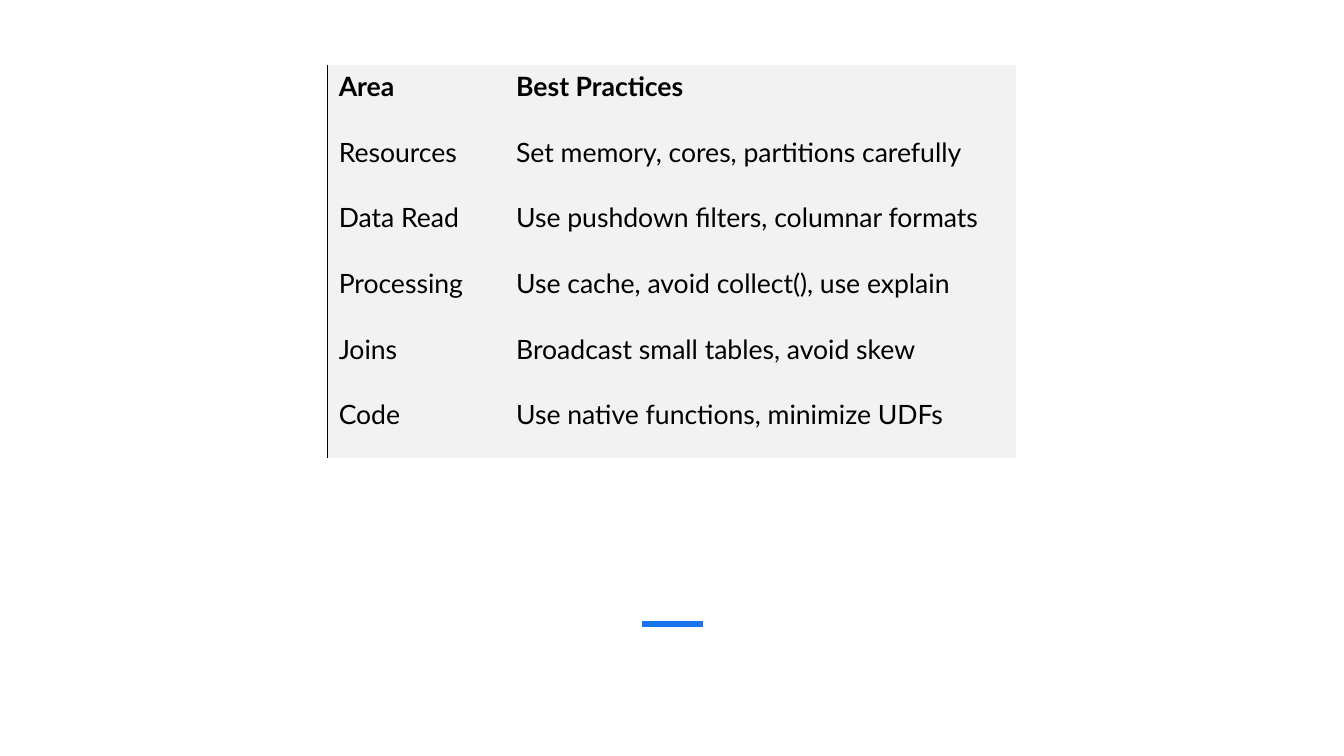
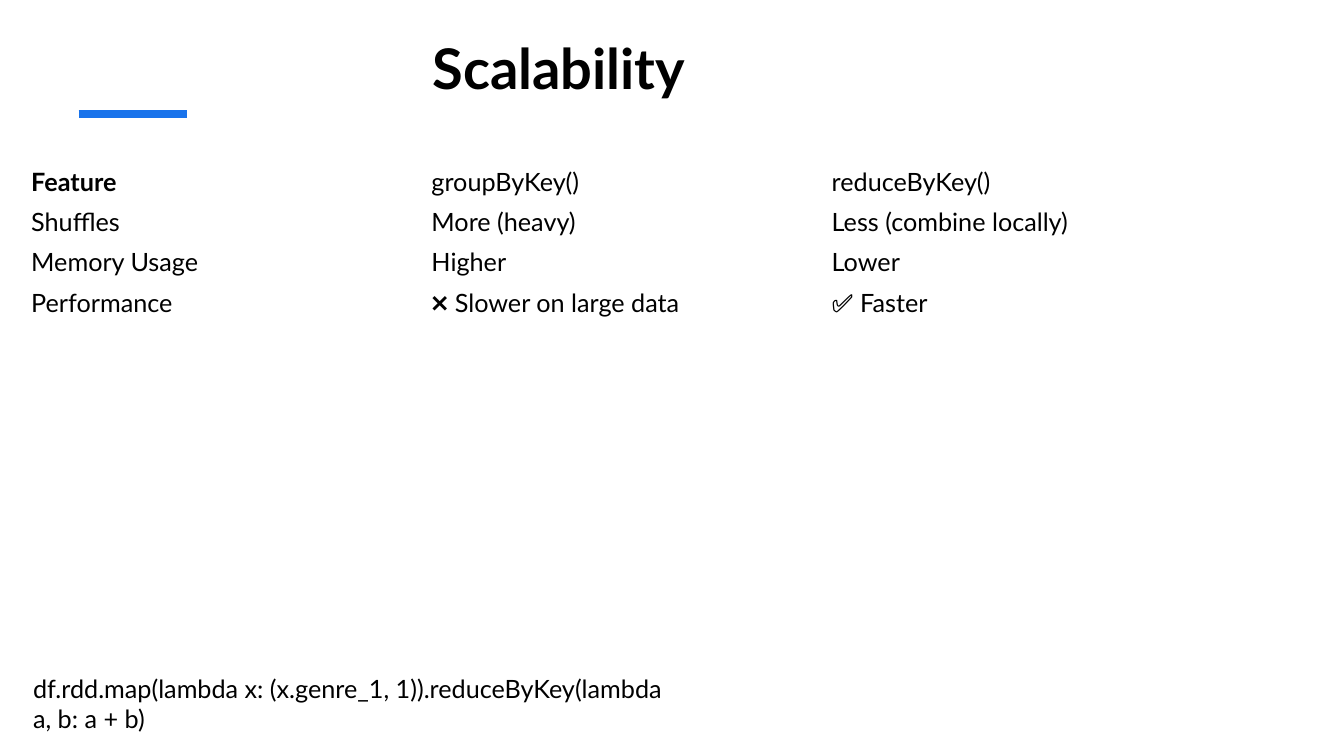
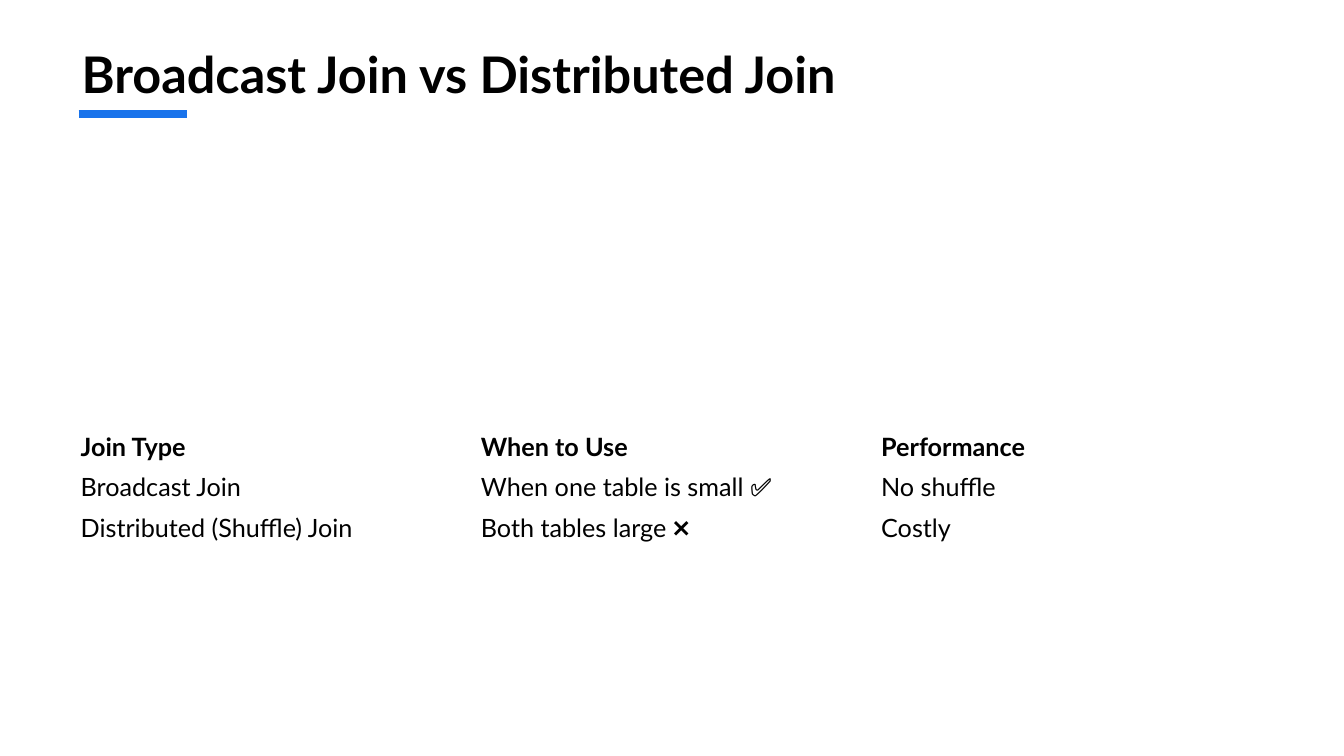
from dataclasses import dataclass

from lxml import etree
from pptx import Presentation
from pptx.dml.color import RGBColor
from pptx.enum.shapes import MSO_CONNECTOR as Connector
from pptx.enum.text import MSO_ANCHOR as Anchor, PP_ALIGN as Align
from pptx.oxml import parse_xml
from pptx.oxml.ns import nsdecls, qn
from pptx.util import Inches, Pt


@dataclass(frozen=True)
class Theme:
    font: str = "Lato"
    text: str = "000000"
    accent: str = "1973EB"
    panel: str = "F2F2F2"
    body_size: int = 18
    panel_size: int = 19
    no_grid_style: str = "{2D5ABB26-0587-4C30-8999-92F81FD0307C}"


THEME = Theme()
TITLE_ONLY, BLANK = 5, 6


def write_text(text_frame, text, size=THEME.body_size, bold=False,
               color=THEME.text, anchor=Anchor.TOP):
    text_frame.word_wrap = True
    text_frame.vertical_anchor = anchor
    paragraph = text_frame.paragraphs[0]
    paragraph.alignment = Align.LEFT
    run = paragraph.add_run()
    run.text = text
    font = run.font
    font.name, font.size, font.bold = THEME.font, Pt(size), bold
    font.color.rgb = RGBColor.from_string(color)


def add_accent_line(slide, left, top, length, weight):
    line = slide.shapes.add_connector(
        Connector.STRAIGHT, Inches(left), Inches(top),
        Inches(left + length), Inches(top))
    line.line.color.rgb = RGBColor.from_string(THEME.accent)
    line.line.width = Pt(weight)
    etree.SubElement(line._element.spPr, qn("a:effectLst"))


def add_titled_slide(presentation, text, left, top, width, height, size):
    slide = presentation.slides.add_slide(presentation.slide_layouts[TITLE_ONLY])
    add_accent_line(slide, 0.78, 1.13, 1.07, 6)
    title = slide.shapes.title
    title.left, title.top = Inches(left), Inches(top)
    title.width, title.height = Inches(width), Inches(height)
    write_text(title.text_frame, text, size=size, bold=True)
    return slide


def add_left_border(cell):
    # Borders come before the fill in the cell properties
    cell._tc.get_or_add_tcPr().insert(0, parse_xml(
        f'<a:lnL {nsdecls("a")} w="{Pt(1)}"><a:solidFill>'
        f'<a:srgbClr val="{THEME.text}"/></a:solidFill></a:lnL>'))


def add_table(slide, rows, left, top, column_widths, row_height,
              size=THEME.body_size, fill=None, margins=None, bold_headers=None):
    """Add a plain table; bold_headers counts the bold cells of the first row."""
    column_count = len(column_widths)
    bold_count = column_count if bold_headers is None else bold_headers
    frame = slide.shapes.add_table(
        len(rows), column_count, Inches(left), Inches(top),
        Inches(sum(column_widths)), Inches(row_height * len(rows)))
    table = frame.table
    table._tbl.tblPr.find(qn("a:tableStyleId")).text = THEME.no_grid_style
    table.horz_banding = False
    for column, width in zip(table.columns, column_widths):
        column.width = Inches(width)
    for row_index, row in enumerate(rows):
        table.rows[row_index].height = Inches(row_height)
        for column_index, text in enumerate(row):
            cell = table.cell(row_index, column_index)
            bold = row_index == 0 and column_index < bold_count
            write_text(cell.text_frame, text, size=size, bold=bold)
            cell.vertical_anchor = Anchor.MIDDLE
            if fill:
                cell.fill.solid()
                cell.fill.fore_color.rgb = RGBColor.from_string(fill)
            else:
                cell.fill.background()
            if margins:
                (cell.margin_left, cell.margin_top, cell.margin_right,
                 cell.margin_bottom) = map(Inches, margins)
    return table


def add_text_box(slide, text, left, top, width, height):
    box = slide.shapes.add_textbox(
        Inches(left), Inches(top), Inches(width), Inches(height))
    write_text(box.text_frame, text)


def build_best_practices(presentation):
    slide = presentation.slides.add_slide(presentation.slide_layouts[BLANK])
    add_accent_line(slide, 6.37, 6.19, 0.6, 4.5)
    rows = [
        ("Area", "Best Practices"),
        ("Resources", "Set memory, cores, partitions carefully"),
        ("Data Read", "Use pushdown filters, columnar formats"),
        ("Processing", "Use cache, avoid collect(), use explain"),
        ("Joins", "Broadcast small tables, avoid skew"),
        ("Code", "Use native functions, minimize UDFs"),
    ]
    table = add_table(slide, rows, 3.25, 0.64, (1.76, 5.07), 0.65,
                      size=THEME.panel_size, fill=THEME.panel,
                      margins=(0.11, 0.03, 0.16, 0.24))
    for row in table.rows:
        add_left_border(row.cells[0])


def build_scalability(presentation):
    slide = add_titled_slide(presentation, "Scalability",
                             4.19, 0.28, 3.21, 0.88, size=40)
    rows = [
        ("Feature", "groupByKey()", "reduceByKey()"),
        ("Shuffles", "More (heavy)", "Less (combine locally)"),
        ("Memory Usage", "Higher", "Lower"),
        ("Performance", "❌ Slower on large data", "✅ Faster"),
    ]
    add_table(slide, rows, 0.21, 1.6, (3.97,) * 3, 0.4, bold_headers=1)
    add_text_box(
        slide,
        "df.rdd.map(lambda x: (x.genre_1, 1)).reduceByKey(lambda a, b: a + b)",
        0.23, 6.63, 6.67, 0.71)


def build_joins(presentation):
    slide = add_titled_slide(presentation, "Broadcast Join vs Distributed Join",
                             0.71, 0.38, 11.91, 1.2, size=36)
    rows = [
        ("Join Type", "When to Use", "Performance"),
        ("Broadcast Join", "When one table is small ✅", "No shuffle"),
        ("Distributed (Shuffle) Join", "Both tables large ❌", "Costly"),
    ]
    add_table(slide, rows, 0.7, 4.23, (3.97,) * 3, 0.4)


def main():
    presentation = Presentation()
    presentation.slide_width = Inches(13.33)
    presentation.slide_height = Inches(7.5)
    build_best_practices(presentation)
    build_scalability(presentation)
    build_joins(presentation)
    presentation.save("out.pptx")


if __name__ == "__main__":
    main()
